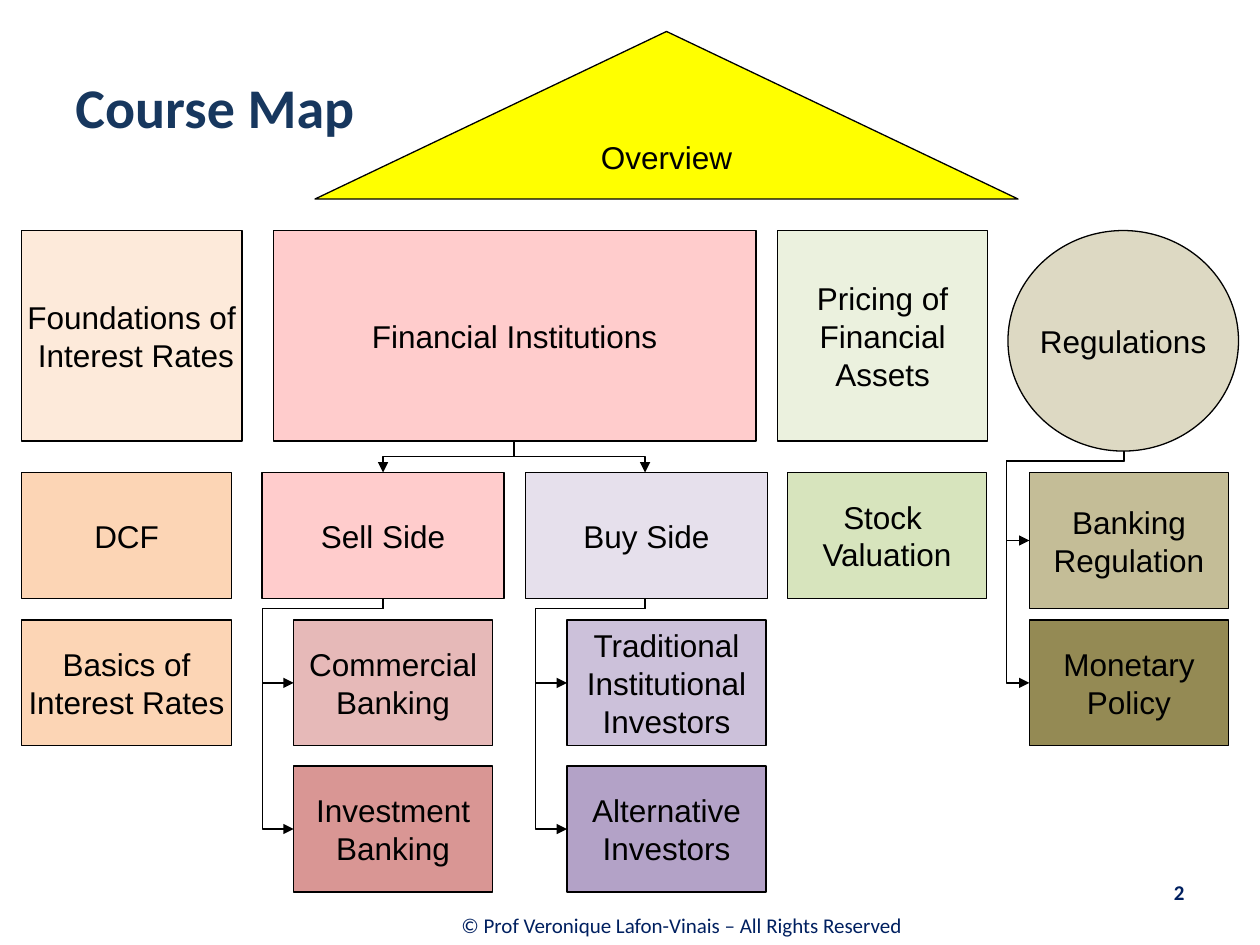
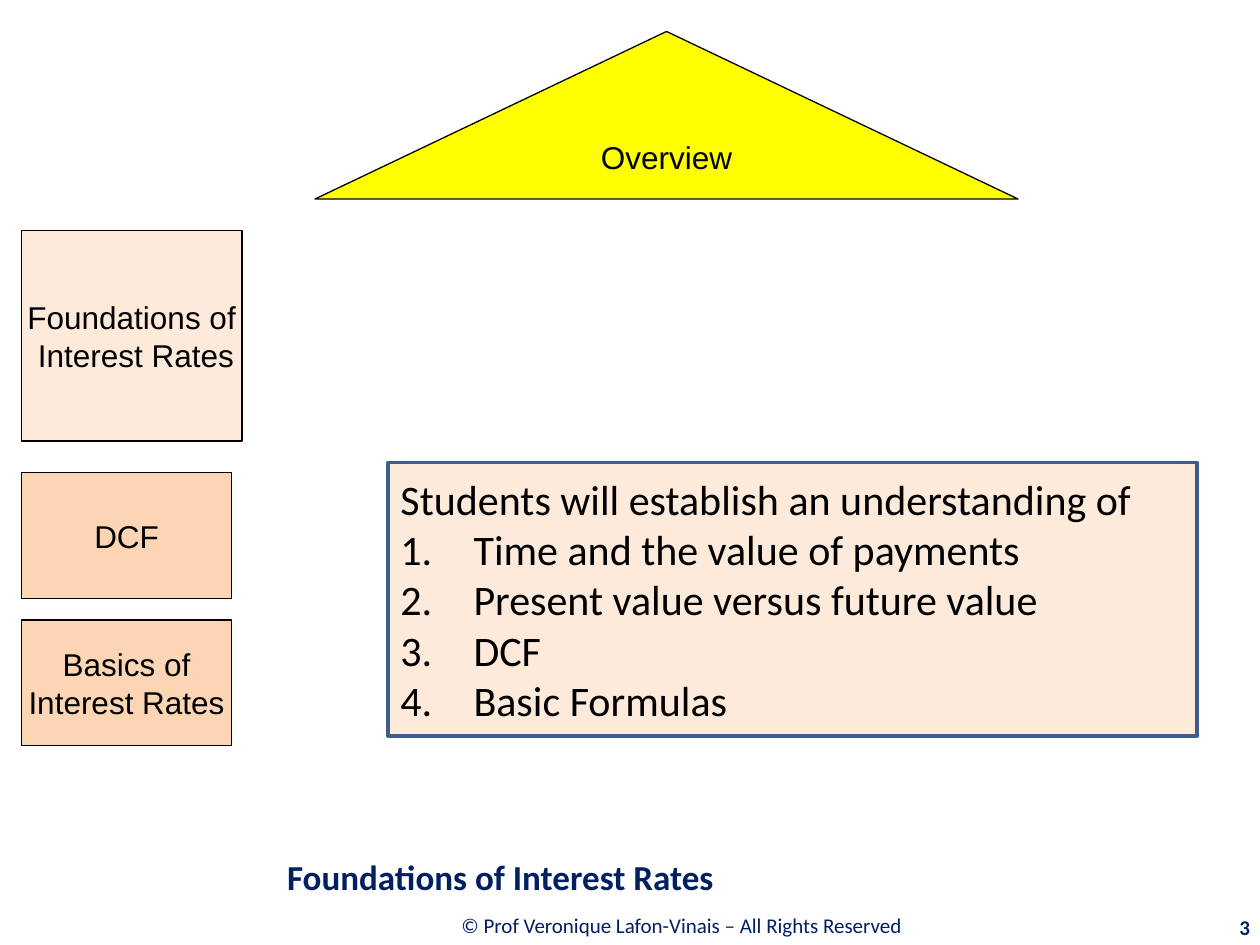
from lxml import etree
from pptx import Presentation
from pptx.dml.color import RGBColor
from pptx.enum.shapes import MSO_CONNECTOR, MSO_SHAPE
from pptx.enum.text import MSO_ANCHOR, PP_ALIGN
from pptx.oxml.ns import qn
from pptx.util import Inches, Pt

RECT, OVAL, ROOF = MSO_SHAPE.RECTANGLE, MSO_SHAPE.OVAL, MSO_SHAPE.FLOWCHART_EXTRACT
ELBOW = MSO_CONNECTOR.ELBOW
LEFT, CENTER, RIGHT = PP_ALIGN.LEFT, PP_ALIGN.CENTER, PP_ALIGN.RIGHT
MIDDLE = MSO_ANCHOR.MIDDLE

BLACK = RGBColor(0x00, 0x00, 0x00)
NAVY = RGBColor(0x00, 0x20, 0x60)
TITLE_BLUE = RGBColor(0x17, 0x37, 0x5E)
BORDER_BLUE = RGBColor(0x3A, 0x5F, 0x8C)
YELLOW = RGBColor(0xFF, 0xFF, 0x00)
PALE_ORANGE = RGBColor(0xFD, 0xEA, 0xDA)
ORANGE = RGBColor(0xFC, 0xD5, 0xB5)
PINK = RGBColor(0xFF, 0xCC, 0xCC)
ROSE = RGBColor(0xE6, 0xB9, 0xB8)
RED = RGBColor(0xD9, 0x96, 0x94)
PALE_PURPLE = RGBColor(0xE6, 0xE0, 0xEC)
LILAC = RGBColor(0xCC, 0xC1, 0xDA)
PURPLE = RGBColor(0xB3, 0xA2, 0xC7)
PALE_GREEN = RGBColor(0xEB, 0xF1, 0xDE)
GREEN = RGBColor(0xD7, 0xE4, 0xBD)
PALE_TAN = RGBColor(0xDD, 0xD9, 0xC3)
TAN = RGBColor(0xC4, 0xBD, 0x97)
OLIVE = RGBColor(0x94, 0x8A, 0x54)

# Tops of the four rows of the map
PILLAR, BRANCH, LEAF, LAST = 1.83, 3.75, 4.92, 6.08


def write_text(box, text, size=18, font="Arial", color=BLACK, bold=False,
               align=CENTER, wrap=True):
    frame = box.text_frame
    frame.word_wrap = wrap
    frame.vertical_anchor = MIDDLE
    for index, line in enumerate(text.split("\n")):
        para = frame.paragraphs[0] if index == 0 else frame.add_paragraph()
        para.alignment = align
        span = para.add_run()
        span.text = line
        span.font.size = Pt(size)
        span.font.name = font
        span.font.bold = bold
        span.font.color.rgb = color


def add_elbow(page, start, end, bus=None, drop=0.08):
    """Arrow leaving start downwards; with bus, it runs down x = bus and turns right."""
    (x1, y1), (x2, y2) = start, end
    length, breadth = y2 - y1, abs(x2 - x1)
    left = (x1 + x2 - length) / 2
    top = (y1 + y2 - breadth) / 2
    sides = [left, left + length]
    if x2 > x1:
        sides.reverse()
    line = page.shapes.add_connector(
        ELBOW, Inches(sides[0]), Inches(top), Inches(sides[1]), Inches(top + breadth))
    line.line.color.rgb = BLACK
    line.line.width = Pt(0.75)
    properties = line._element.spPr
    quarter_turns = 3 if x2 > x1 else 1
    properties.find(qn("a:xfrm")).set("rot", str(quarter_turns * 5400000))
    if bus is not None:
        geometry = properties.find(qn("a:prstGeom"))
        geometry.set("prst", "bentConnector4")
        guides = geometry.find(qn("a:avLst"))
        ratios = {"adj1": drop / length, "adj2": (x1 - bus) / (x1 - x2)}
        for name, ratio in ratios.items():
            etree.SubElement(guides, qn("a:gd"), name=name, fmla=f"val {round(ratio * 100000)}")
    etree.SubElement(properties.find(qn("a:ln")), qn("a:tailEnd"), type="triangle")
    etree.SubElement(properties, qn("a:effectLst"))


deck = Presentation()
deck.slide_width, deck.slide_height = Inches(10), Inches(7.5)
blank = deck.slide_layouts[6]
map_page = deck.slides.add_slide(blank)
foundations_page = deck.slides.add_slide(blank)

# Text boxes: page, text, left, top, width, height, format
FOOTER = "© Prof Veronique Lafon-Vinais – All Rights Reserved "
number_style = dict(size=12, color=NAVY, bold=True, align=RIGHT)
labels = [
    (map_page, "2", 7.17, 6.83, 2.33, 0.5, number_style),
    (map_page, "Course Map", 0.5, 0.13, 2.58, 1.42,
     dict(size=32, color=TITLE_BLUE, bold=True, align=LEFT)),
    (foundations_page, "3", 9.01, 7.2, 1.01, 0.32, number_style),
    (foundations_page, "Foundations of Interest Rates", 2.18, 6.72, 7.82, 0.47,
     dict(size=20, color=NAVY, bold=True, align=LEFT)),
]
for page in (map_page, foundations_page):
    labels.append((page, FOOTER, 2.19, 7.15, 6.48, 0.39, dict(size=12, color=NAVY)))
for page, text, left, top, width, height, style in labels:
    box = page.shapes.add_textbox(Inches(left), Inches(top), Inches(width), Inches(height))
    write_text(box, text, font="Calibri", **style)

# Map boxes: text, shape, fill, left, top, width, height
shared_nodes = [
    ("Overview", ROOF, YELLOW, 2.5, 0.25, 5.58, 1.33),
    ("Foundations of\n Interest Rates", RECT, PALE_ORANGE, 0.17, PILLAR, 1.75, 1.67),
    ("DCF", RECT, ORANGE, 0.17, BRANCH, 1.67, 1),
    ("Basics of\nInterest Rates", RECT, ORANGE, 0.17, LEAF, 1.67, 1),
]
map_nodes = [
    ("Financial Institutions", RECT, PINK, 2.17, PILLAR, 3.83, 1.67),
    ("Pricing of Financial Assets", RECT, PALE_GREEN, 6.17, PILLAR, 1.67, 1.67),
    ("Regulations", OVAL, PALE_TAN, 8, PILLAR, 1.83, 1.75),
    ("Sell Side", RECT, PINK, 2.08, BRANCH, 1.92, 1),
    ("Buy Side", RECT, PALE_PURPLE, 4.17, BRANCH, 1.92, 1),
    ("Stock \nValuation", RECT, GREEN, 6.25, BRANCH, 1.58, 1),
    ("Banking Regulation", RECT, TAN, 8.17, BRANCH, 1.58, 1.08),
    ("Commercial Banking", RECT, ROSE, 2.33, LEAF, 1.58, 1),
    ("Traditional Institutional Investors", RECT, LILAC, 4.5, LEAF, 1.58, 1),
    ("Monetary Policy", RECT, OLIVE, 8.17, LEAF, 1.58, 1),
    ("Investment Banking", RECT, RED, 2.33, LAST, 1.58, 1),
    ("Alternative Investors", RECT, PURPLE, 4.5, LAST, 1.58, 1),
]
for page, nodes in ((map_page, shared_nodes + map_nodes), (foundations_page, shared_nodes)):
    for text, kind, fill, left, top, width, height in nodes:
        node = page.shapes.add_shape(
            kind, Inches(left), Inches(top), Inches(width), Inches(height))
        node.shadow.inherit = False
        node.fill.solid()
        node.fill.fore_color.rgb = fill
        node.line.color.rgb = BLACK
        node.line.width = Pt(0.75)
        write_text(node, text, wrap=" " in text and "\n" not in text)

# Arrows from Financial Institutions to its two sides
for side_x in (3.04, 5.12):
    add_elbow(map_page, (4.08, 3.5), (side_x, BRANCH))

# Arrows from a parent, along a bus line, to each child
families = [
    ((3.04, 4.75), 2.08, 2.33, (5.42, 6.58)),
    ((5.12, 4.75), 4.25, 4.5, (5.42, 6.58)),
    ((8.92, 3.58), 7.99, 8.17, (4.29, 5.42)),
]
for parent, bus, child_left, child_middles in families:
    for middle in child_middles:
        add_elbow(map_page, parent, (child_left, middle), bus=bus)

# Learning goals
goals = foundations_page.shapes.add_shape(
    RECT, Inches(3.08), Inches(3.67), Inches(6.42), Inches(2.17))
goals.shadow.inherit = False
goals.fill.solid()
goals.fill.fore_color.rgb = PALE_ORANGE
goals.line.color.rgb = BORDER_BLUE
goals.line.width = Pt(2)
goal_lines = [
    "Students will establish an understanding of",
    "Time and the value of payments",
    "Present value versus future value",
    "DCF",
    "Basic Formulas",
]
write_text(goals, "\n".join(goal_lines), size=24, font="Calibri", align=LEFT)
for index, para in enumerate(goals.text_frame.paragraphs):
    properties = para._p.get_or_add_pPr()
    properties.set("marL", str(Inches(0.58)))
    properties.set("indent", str(-Inches(0.58)))
    if index > 0:
        etree.SubElement(properties, qn("a:buFont"), typeface="Calibri")
        etree.SubElement(properties, qn("a:buAutoNum"), type="arabicPeriod")

deck.save("out.pptx")
